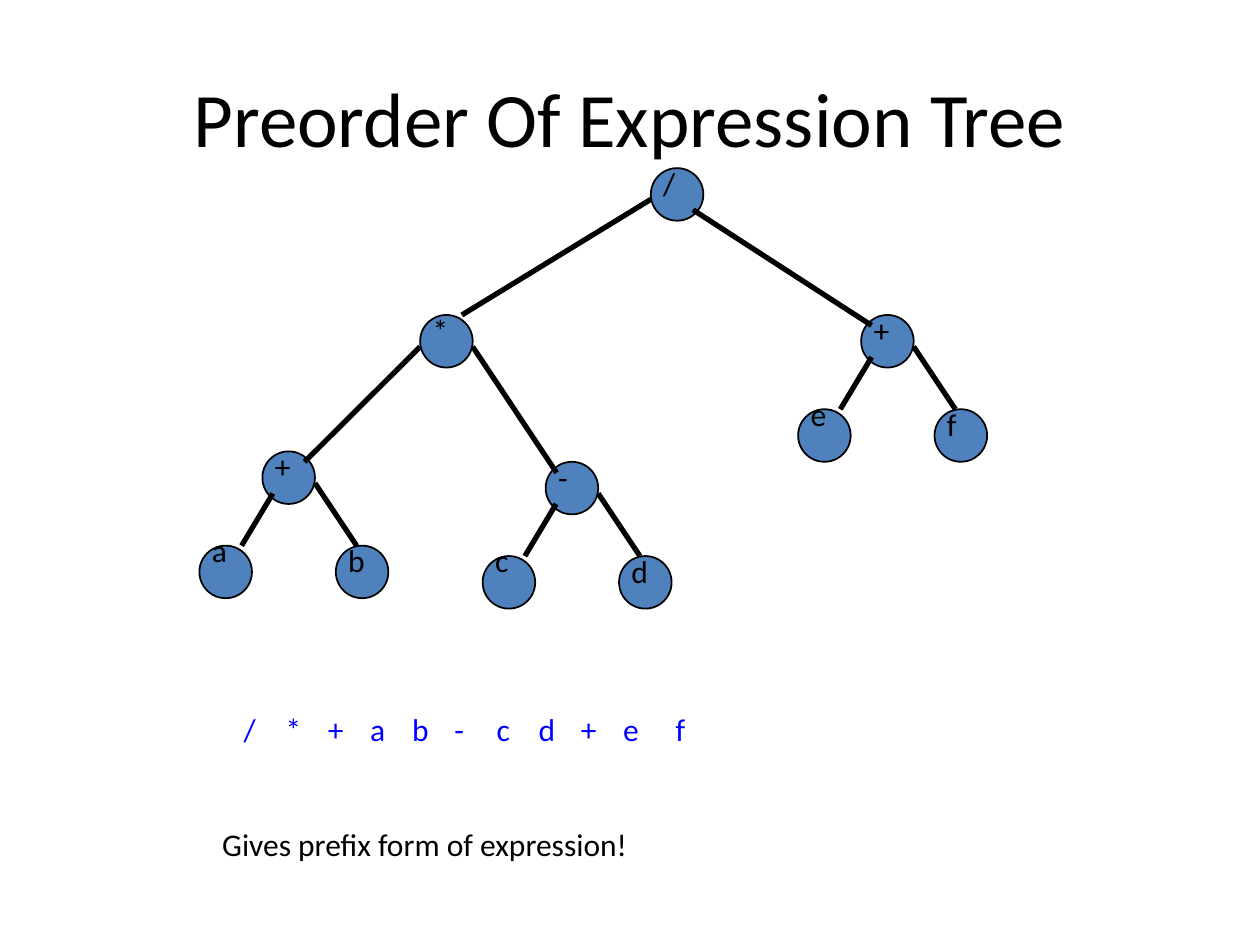
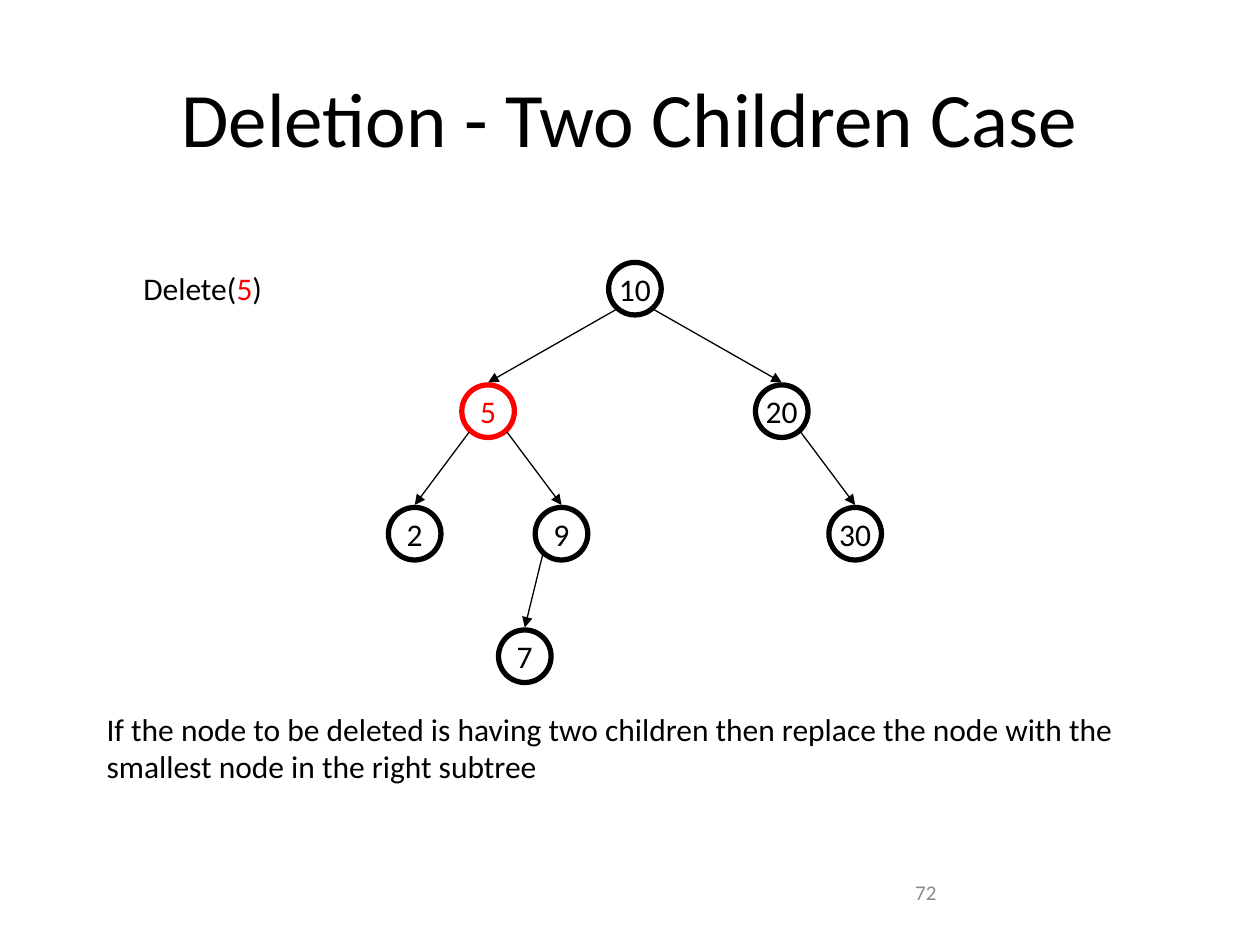
from lxml import etree
from pptx import Presentation
from pptx.dml.color import RGBColor
from pptx.enum import shapes, text
from pptx.oxml.ns import qn
from pptx.util import Cm, Pt

# Content: expression tree, positions in cm (top left corner of each node)
EXPRESSION_TITLE = "Preorder Of Expression Tree"
UPPER_OPERATORS = [("/", 13.12, 3.39), ("*", 8.47, 6.35)]
UPPER_EDGES = [
    (13.12, 4.02, 9.31, 6.35), (13.97, 4.23, 17.57, 6.56),
    (8.47, 6.99, 6.14, 9.31), (9.53, 6.99, 11.22, 9.53),
]
# operator, left operand, right operand, x, y
SUBTREES = [("+", "a", "b", 5.29, 9.1), ("-", "c", "d", 11, 9.31), ("+", "e", "f", 17.36, 6.35)]
PREORDER = "/*+ab-cd+ef"
PREFIX_NOTE = "Gives prefix form of expression!"

# Content: search tree, key -> (column, level, parent)
DELETION_TITLE = "Deletion - Two Children Case"
SEARCH_TREE = {
    10: (6, 0, None), 5: (2, 1, 10), 20: (10, 1, 10), 2: (0, 2, 5),
    9: (4, 2, 5), 30: (12, 2, 20), 7: (3, 3, 9),
}
DELETED_KEY = 5
DELETION_RULE = ("If the node to be deleted is having two children then replace the node "
                 "with the smallest node in the right subtree")
PAGE_NUMBER = "72"

# Shared style
FONT = "Calibri"
BLACK = RGBColor(0x00, 0x00, 0x00)
BLUE = RGBColor(0x00, 0x00, 0xFF)
RED = RGBColor(0xFF, 0x00, 0x00)
GREY = RGBColor(0x8C, 0x8C, 0x8C)
NODE_FILL = RGBColor(0x4F, 0x81, 0xBD)
NODE_SIZE = 1.06
LABEL_HEIGHT = 1.6


def set_font(font, size=18, color=BLACK):
    font.name, font.size, font.color.rgb = FONT, Pt(size), color


def add_titled_slide(deck, heading):
    slide = deck.slides.add_slide(deck.slide_layouts[5])
    title = slide.shapes.title
    title.left, title.top, title.width, title.height = Cm(1.27), Cm(0.76), Cm(22.86), Cm(3.18)
    title.text_frame.text = heading
    set_font(title.text_frame.paragraphs[0].font, 44)
    return slide


def add_text(slide, words, x, y, width, height=LABEL_HEIGHT, size=18, color=BLACK):
    box = slide.shapes.add_textbox(Cm(x), Cm(y), Cm(width), Cm(height))
    box.text_frame.word_wrap = True
    paragraph = box.text_frame.paragraphs[0]
    paragraph.text = words
    set_font(paragraph.font, size, color)
    return box


def add_node(slide, x, y, line_color, line_width, fill=None):
    node = slide.shapes.add_shape(shapes.MSO_SHAPE.OVAL, Cm(x), Cm(y), Cm(NODE_SIZE), Cm(NODE_SIZE))
    node.shadow.inherit = False
    node.line.color.rgb, node.line.width = line_color, Pt(line_width)
    if fill is None:
        node.fill.background()
    else:
        node.fill.solid()
        node.fill.fore_color.rgb = fill
    return node


def add_edge(slide, x1, y1, x2, y2, width, arrow=False):
    edge = slide.shapes.add_connector(shapes.MSO_CONNECTOR.STRAIGHT, Cm(x1), Cm(y1), Cm(x2), Cm(y2))
    edge.line.color.rgb, edge.line.width = BLACK, Pt(width)
    if arrow:
        etree.SubElement(edge.line._get_or_add_ln(), qn("a:tailEnd"), type="triangle")
    etree.SubElement(edge._element.spPr, qn("a:effectLst"))


def add_expression_node(slide, symbol, x, y, label_rise=0.21):
    add_node(slide, x, y, BLACK, 1, NODE_FILL)
    add_text(slide, symbol, x, y - label_rise, NODE_SIZE)


def build_expression_slide(deck):
    slide = add_titled_slide(deck, EXPRESSION_TITLE)

    # Tree
    for symbol, x, y in UPPER_OPERATORS:
        add_expression_node(slide, symbol, x, y)
    for operator, left, right, x, y in SUBTREES:
        add_expression_node(slide, operator, x, y)
        add_expression_node(slide, left, x - 1.27, y + 1.9, label_rise=0.42)
        add_expression_node(slide, right, x + 1.48, y + 1.9)
        add_edge(slide, x + 0.21, y + 0.85, x - 0.42, y + 1.9, 3)
        add_edge(slide, x + NODE_SIZE, y + 0.64, x + 1.9, y + 1.9, 3)
    for ends in UPPER_EDGES:
        add_edge(slide, *ends, 3)

    # Visiting order, with a slightly wider gap before the last symbol
    for place, symbol in enumerate(PREORDER):
        gap = 0.21 if place == len(PREORDER) - 1 else 0
        add_text(slide, symbol, 4.66 + place * 0.85 + gap, 14.18, NODE_SIZE, color=BLUE)
    add_text(slide, PREFIX_NOTE, 4.23, 16.51, 16.3)


def build_deletion_slide(deck):
    slide = add_titled_slide(deck, DELETION_TITLE)

    # Tree: node centres on a grid of columns and levels
    centres = {key: (8.36 + 0.74 * column, 5.29 + 2.47 * level)
               for key, (column, level, _) in SEARCH_TREE.items()}
    for key, (x, top) in centres.items():
        color = RED if key == DELETED_KEY else BLACK
        node = add_node(slide, x - NODE_SIZE / 2, top, color, 3)
        frame = node.text_frame
        frame.word_wrap = False
        frame.vertical_anchor = text.MSO_ANCHOR.MIDDLE
        paragraph = frame.paragraphs[0]
        paragraph.text = str(key)
        paragraph.alignment = text.PP_ALIGN.CENTER
        set_font(paragraph.font, color=color)

    # Arrows from parent to child
    for key, (x, top) in centres.items():
        parent = SEARCH_TREE[key][2]
        if parent is not None:
            parent_x, parent_top = centres[parent]
            side = 0.38 if x > parent_x else -0.38
            add_edge(slide, parent_x + side, parent_top + 0.95, x, top - 0.05, 0.75, arrow=True)

    # Call, rule and page number
    call = add_text(slide, "Delete(", 2.64, 5.29, 3.7, 1.27).text_frame.paragraphs[0]
    key_run = call.add_run()
    key_run.text = str(DELETED_KEY)
    key_run.font.color.rgb = RED
    call.add_run().text = ")"
    add_text(slide, DELETION_RULE, 1.9, 14.18, 21.8, 3.33)
    page = add_text(slide, PAGE_NUMBER, 18.2, 17.36, 5.29, 1.27, 12, GREY)
    page.text_frame.vertical_anchor = text.MSO_ANCHOR.MIDDLE


def main():
    deck = Presentation()
    deck.slide_width, deck.slide_height = Cm(25.4), Cm(19.05)
    build_expression_slide(deck)
    build_deletion_slide(deck)
    deck.save("out.pptx")


if __name__ == "__main__":
    main()
